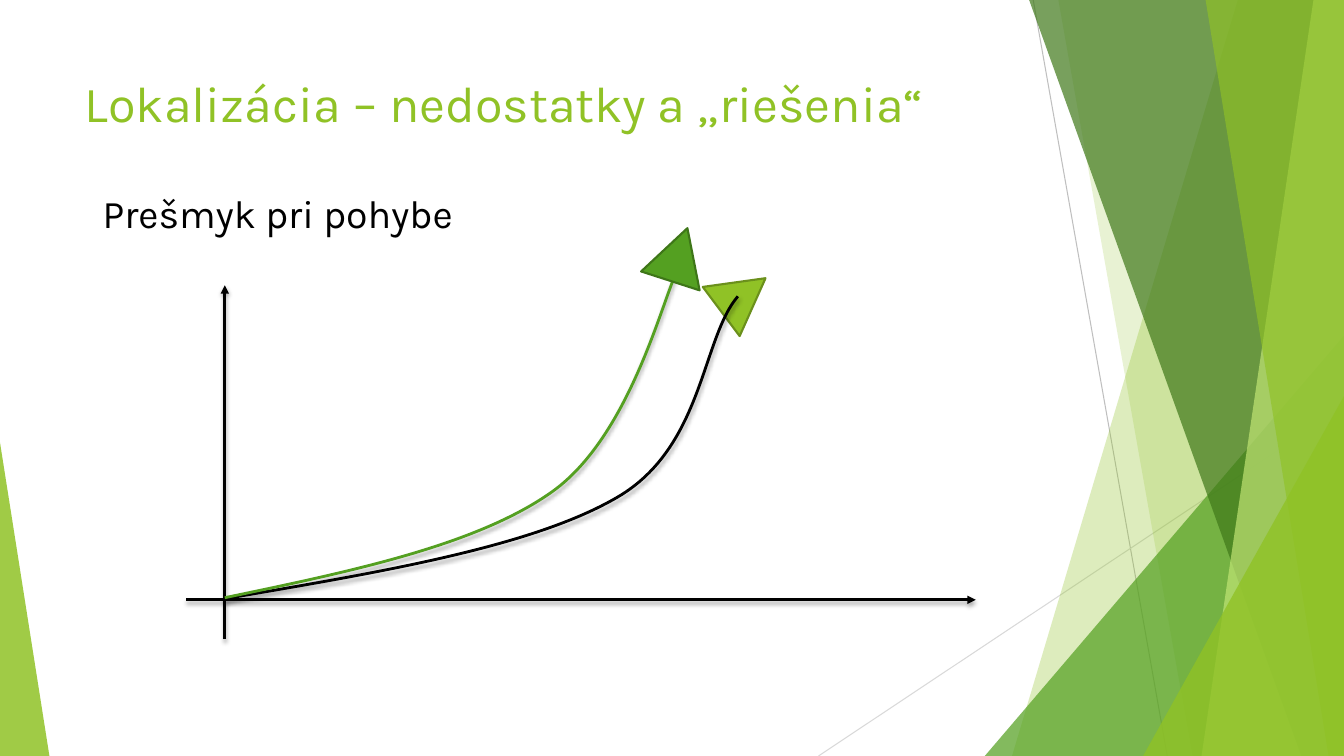
from pptx import Presentation
from pptx.util import Inches, Pt
from pptx.dml.color import RGBColor
from pptx.enum.shapes import MSO_CONNECTOR, MSO_SHAPE
from pptx.enum.text import MSO_ANCHOR, PP_ALIGN, MSO_AUTO_SIZE
from pptx.oxml import parse_xml
from pptx.oxml.ns import nsdecls
from lxml.etree import SubElement

BLACK = RGBColor(0x00, 0x00, 0x00)
GRAY = RGBColor(0xBF, 0xBF, 0xBF)
PALE = RGBColor(0xD9, 0xD9, 0xD9)
LIME = RGBColor(0x90, 0xC2, 0x26)
LEAF = RGBColor(0x54, 0xA0, 0x21)
PINE = RGBColor(0x3F, 0x78, 0x19)
MINT = RGBColor(0xC0, 0xE4, 0x74)
OLIVE = RGBColor(0x6B, 0x90, 0x1C)
MOSS = RGBColor(0x3E, 0x76, 0x18)

# Grid: square cells, 75 rows high
ROWS, COLS = 75, 133.33
CELL = Inches(0.1)
DRAWN = "{http://schemas.openxmlformats.org/drawingml/2006/main}"

deck = Presentation()
deck.slide_width, deck.slide_height = int(COLS * CELL), ROWS * CELL
slide = deck.slides.add_slide(deck.slide_layouts[5])
shapes = slide.shapes


def grid(*nums):
    return [round(n * CELL) for n in nums]


def stroke(item, color, width, shade=False, arrow=False):
    item.line.color.rgb = color
    item.line.width = Pt(width)
    if arrow:
        SubElement(item.line._get_or_add_ln(), DRAWN + "tailEnd", type="triangle")
    props = item._element.spPr
    for old in props.findall(DRAWN + "effectLst"):
        props.remove(old)
    cast = (f'<a:outerShdw blurRad="{Pt(3)}" dist="{Pt(2)}" dir="5400000" rotWithShape="0">'
            '<a:srgbClr val="000000"><a:alpha val="35000"/></a:srgbClr></a:outerShdw>')
    props.append(parse_xml(f'<a:effectLst {nsdecls("a")}>{cast if shade else ""}</a:effectLst>'))


# Thin lines behind the facets, then the two axes
for ends, color, width, axis in [
    ((102.5, 0, 115.8, ROWS), GRAY, 0.75, False),
    ((COLS, 40.3, 81.2, ROWS), PALE, 0.75, False),
    ((18.5, 59.5, 96.8, 59.5), BLACK, 2, True),
    ((22.3, 63.4, 22.3, 28.3), BLACK, 2, True),
]:
    rule = shapes.add_connector(MSO_CONNECTOR.STRAIGHT, *grid(*ends))
    stroke(rule, color, width, axis, axis)

# Facets: bands as (top x, bottom x), corners as (left, top, width, apex)
for form, color, alpha in [
    ((122.8, 100.4), LIME, 30),
    ((105, 118.3), LIME, 20),
    ((97.7, 33.3, 35.63, 1), LEAF, 72),
    ((102.1, 129.1), PINE, 70),
    ((130.3, 119.2), MINT, 70),
    ((119.6, 131.8), LIME, 65),
    ((113.4, 39.3, 19.93, 1), LIME, 80),
    ((0, 43.9, 4.9, 0), LIME, 85),
]:
    if len(form) == 2:
        top, base = form
        pen = shapes.build_freeform(*grid(top, 0))
        pen.add_line_segments([grid(COLS, 0), grid(COLS, ROWS), grid(base, ROWS)])
        facet = pen.convert_to_shape()
    else:
        left, top, width, apex = form
        facet = shapes.add_shape(MSO_SHAPE.ISOSCELES_TRIANGLE,
                                 *grid(left, top, width, ROWS - top))
        facet.adjustments[0] = apex
    facet.shadow.inherit = False
    facet.line.fill.background()
    facet.fill.solid()
    facet.fill.fore_color.rgb = color
    tint = facet._element.spPr.find(f"{DRAWN}solidFill/{DRAWN}srgbClr")
    SubElement(tint, DRAWN + "alpha", val=str(alpha * 1000))

# Title and subtitle
title = shapes.title
note = shapes.add_textbox(*grid(9.2, 18.3, 90.5, 5.7))
title.left, title.top, title.width, title.height = grid(7.4, 6.7, 94, 14.4)
for box, text, size, color in [
    (title, "Lokalizácia – nedostatky a „riešenia“", 36, LIME),
    (note, "Prešmyk pri pohybe", 28, BLACK),
]:
    frame = box.text_frame
    frame.word_wrap = True
    frame.auto_size = MSO_AUTO_SIZE.NONE
    frame.vertical_anchor = MSO_ANCHOR.TOP
    para = frame.paragraphs[0]
    para.alignment = PP_ALIGN.LEFT
    run = para.add_run()
    run.text = text
    run.font.name, run.font.size = "Karla", Pt(size)
    run.font.color.rgb = color


# Robot marker at the end of a path
def marker(left, top, turn, color, edge):
    robot = shapes.add_shape(MSO_SHAPE.ISOSCELES_TRIANGLE, *grid(left, top, 6.1, 5.5))
    robot.rotation = turn
    robot.fill.solid()
    robot.fill.fore_color.rgb = color
    stroke(robot, edge, 1.5)


marker(70.7, 26.5, 53.1, LIME, OLIVE)

# Paths: start point, then three points for each curve
for color, start, *points in [
    (BLACK, (22.3, 59.4), (37.5, 56.8), (52.8, 54.3), (61.3, 49.3),
     (69.8, 44.3), (69.6, 33.6), (73.2, 29.4)),
    (LEAF, (22.3, 59.3), (34.8, 56.7), (47.4, 54.1), (54.9, 48.7),
     (62.3, 43.3), (65.5, 30.6), (67.1, 27)),
]:
    pen = shapes.build_freeform(*grid(*start))
    pen.add_line_segments([grid(*point) for point in points], close=False)
    curve = pen.convert_to_shape()
    curve.fill.background()
    stroke(curve, color, 2, shade=True)
    # Join each three straight steps into one Bézier curve
    track = next(curve._element.iter(DRAWN + "path"))
    steps = track.findall(DRAWN + "lnTo")
    for i in range(0, len(steps), 3):
        bend = SubElement(track, DRAWN + "cubicBezTo")
        for step in steps[i:i + 3]:
            bend.append(step[0])
            track.remove(step)

marker(64.3, 22.5, 17.9, LEAF, MOSS)

deck.save("out.pptx")
